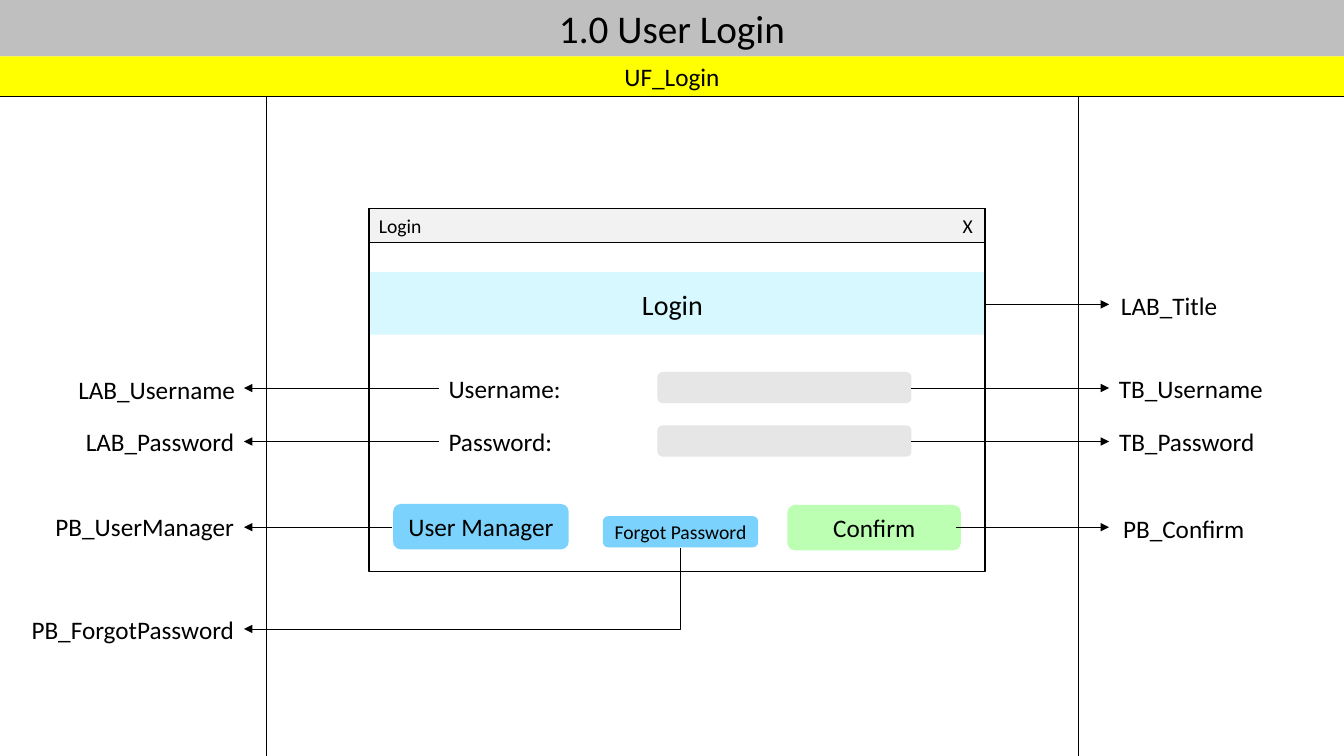
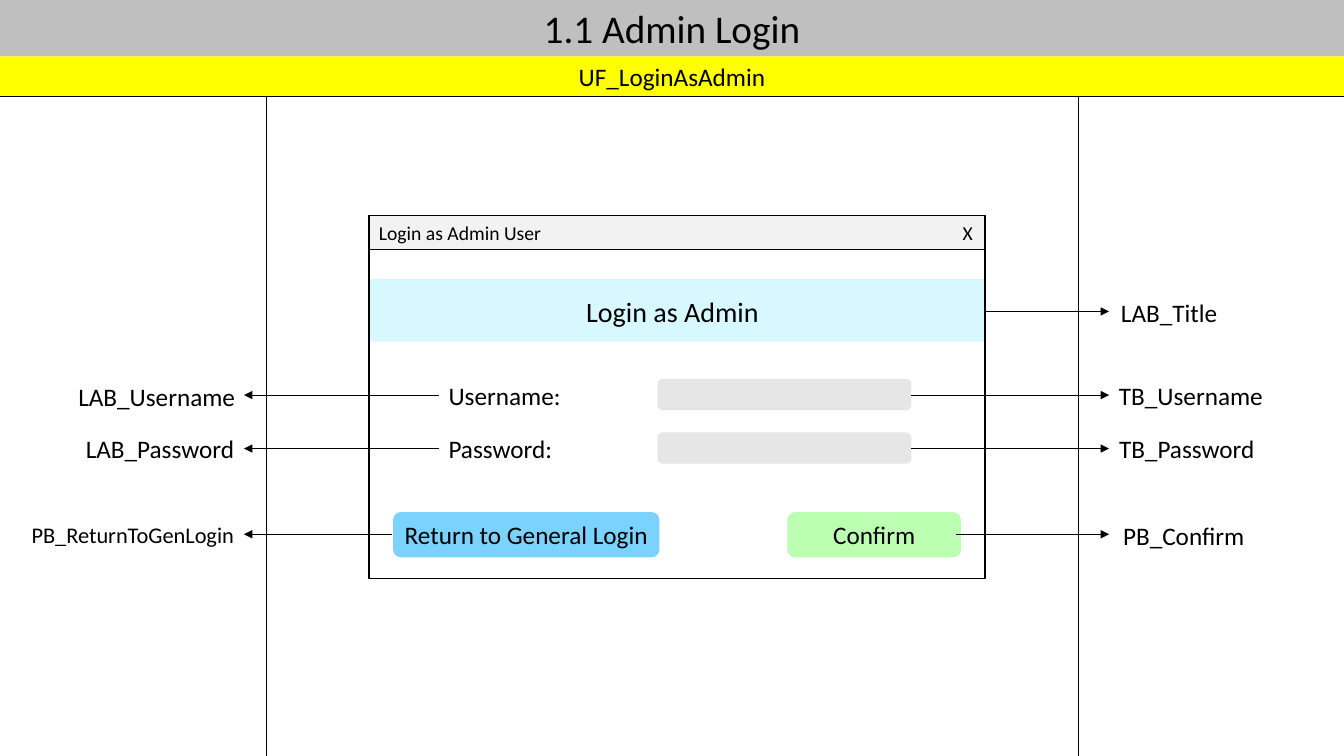
from dataclasses import dataclass

from lxml import etree
from pptx import Presentation
from pptx import util as u
from pptx.dml import color
from pptx.enum import shapes, text
from pptx.oxml import ns

SLIDE_WIDTH, SLIDE_HEIGHT = 13.33, 7.5
FONT = "Calibri"
BLACK, GREY, YELLOW = "000000", "BFBFBF", "FFFF00"
TITLE_BAR, HEADING_BAND, FIELD = "F2F2F2", "D7F8FF", "E7E6E6"
BLUE, GREEN = "7BD2FD", "BCFFB3"
HEADER_BOTTOM = 0.96
DIVIDERS = (10.7, 2.64)
WINDOW_LEFT, WINDOW_WIDTH, WINDOW_HEIGHT = 3.66, 6.11, 3.6
PROMPT_LEFT, FIELD_LEFT, FIELD_WIDTH = 4.35, 6.52, 2.52
LEFT_LABEL_EDGE = 2.42
LINE_HEIGHTS = {14: 0.34, 16: 0.37, 18: 0.4, 20: 0.44}
RECT = shapes.MSO_SHAPE.RECTANGLE
ROUNDED = shapes.MSO_SHAPE.ROUNDED_RECTANGLE
LEFT, CENTER, RIGHT = text.PP_ALIGN.LEFT, text.PP_ALIGN.CENTER, text.PP_ALIGN.RIGHT


@dataclass(frozen=True)
class Button:
    caption: str
    left: float
    top: float
    width: float
    height: float
    fill: str
    size: int = 18


@dataclass(frozen=True)
class Callout:
    name: str
    label_top: float
    arrow_y: float
    arrow_start: float
    label_width: float
    label_left: float = 11.0
    size: int = 18


@dataclass(frozen=True)
class LoginScreen:
    title: str
    form_name: str
    window_title: str
    heading: str
    window_top: float
    buttons: tuple[Button, ...]
    left_callout: Callout
    forgot_label: str = ""


PROMPTS = (("Username:", 1.58), ("Password:", 2.11))
CONFIRM = Button("Confirm", 7.81, 2.94, 1.72, 0.45, GREEN)
RIGHT_CALLOUTS = (
    Callout("LAB_Title", 0.76, 0.95, 9.77, 1.26, 11.02),
    Callout("TB_Username", 1.58, 1.78, 9.04, 1.94),
    Callout("TB_Password", 2.11, 2.31, 9.04, 1.62),
    Callout("PB_Confirm", 2.97, 3.16, 9.48, 1.62, 11.04),
)
LEFT_CALLOUTS = (
    Callout("LAB_Username", 1.59, 1.78, PROMPT_LEFT, 2.04, 0.39),
    Callout("LAB_Password", 2.11, 2.31, PROMPT_LEFT, 1.79, 0.63),
)

SCREENS = (
    LoginScreen(
        "1.0 User Login", "UF_Login", "Login", "Login", 2.07,
        (
            Button("User Manager", 3.9, 2.93, 1.74, 0.45, BLUE),
            CONFIRM,
            Button("Forgot Password", 5.98, 3.05, 1.54, 0.31, BLUE, 14),
        ),
        Callout("PB_UserManager", 2.95, 3.16, 3.89, 2.03, 0.39),
        "PB_ForgotPassword",
    ),
    LoginScreen(
        "1.1 Admin Login", "UF_LoginAsAdmin", "Login as Admin User", "Login as Admin", 2.14,
        (
            Button("Return to General Login", 3.9, 2.94, 2.64, 0.45, BLUE),
            CONFIRM,
        ),
        Callout("PB_ReturnToGenLogin", 2.98, 3.16, 3.89, 2.49, -0.07, 16),
    ),
)


def rgb(value: str) -> color.RGBColor:
    return color.RGBColor.from_string(value)


def write(frame, words: str, size: int, align) -> None:
    frame.word_wrap = True
    frame.auto_size = text.MSO_AUTO_SIZE.SHAPE_TO_FIT_TEXT
    paragraph = frame.paragraphs[0]
    paragraph.alignment = align
    run = paragraph.add_run()
    run.text = words
    run.font.name = FONT
    run.font.size = u.Pt(size)
    run.font.color.rgb = rgb(BLACK)


def add_label(slide, words: str, left: float, top: float, width: float,
              size: int = 18, align=LEFT) -> None:
    label = slide.shapes.add_textbox(
        u.Inches(left), u.Inches(top), u.Inches(width), u.Inches(LINE_HEIGHTS[size]))
    write(label.text_frame, words, size, align)


def add_block(slide, kind, left: float, top: float, width: float, height: float,
              fill: str = "", border: float = 0):
    block = slide.shapes.add_shape(
        kind, u.Inches(left), u.Inches(top), u.Inches(width), u.Inches(height))
    block.shadow.inherit = False
    if fill:
        block.fill.solid()
        block.fill.fore_color.rgb = rgb(fill)
    else:
        block.fill.background()
    if border:
        block.line.color.rgb = rgb(BLACK)
        block.line.width = u.Pt(border)
    else:
        block.line.fill.background()
    return block


def add_line(slide, x1: float, y1: float, x2: float, y2: float,
             arrow: bool = False, kind=shapes.MSO_CONNECTOR.STRAIGHT):
    line = slide.shapes.add_connector(
        kind, u.Inches(x1), u.Inches(y1), u.Inches(x2), u.Inches(y2))
    line.line.color.rgb = rgb(BLACK)
    line.line.width = u.Pt(0.5)
    properties = line._element.spPr
    if arrow:
        outline = properties.find(ns.qn("a:ln"))
        etree.SubElement(outline, ns.qn("a:tailEnd"), type="triangle")
    etree.SubElement(properties, ns.qn("a:effectLst"))
    return line


def add_corner_arrow(slide, x1: float, y1: float, x2: float, y2: float) -> None:
    center_x, center_y = (x1 + x2) / 2, (y1 + y2) / 2
    half_run, half_drop = (x1 - x2) / 2, (y2 - y1) / 2
    arrow = add_line(slide, center_x - half_drop, center_y - half_run,
                     center_x + half_drop, center_y + half_run,
                     True, shapes.MSO_CONNECTOR.ELBOW)
    properties = arrow._element.spPr
    properties.find(ns.qn("a:xfrm")).set("rot", "5400000")
    properties.find(ns.qn("a:prstGeom")).set("prst", "bentConnector2")


def add_button(slide, button: Button, window_top: float) -> None:
    top = window_top + button.top
    add_block(slide, ROUNDED, button.left, top, button.width, button.height, button.fill)
    caption_top = top + (button.height - LINE_HEIGHTS[button.size]) / 2
    add_label(slide, button.caption, button.left, caption_top, button.width,
              button.size, CENTER)


def add_callout(slide, callout: Callout, window_top: float, arrow_end: float, align) -> None:
    arrow_y = window_top + callout.arrow_y
    add_line(slide, callout.arrow_start, arrow_y, arrow_end, arrow_y, True)
    add_label(slide, callout.name, callout.label_left, window_top + callout.label_top,
              callout.label_width, callout.size, align)


def add_header(slide, screen: LoginScreen) -> None:
    title_band = add_block(slide, RECT, 0, -0.01, SLIDE_WIDTH, 0.57, GREY)
    write(title_band.text_frame, screen.title, 28, CENTER)
    for x in DIVIDERS:
        add_line(slide, x, 0.57, x, SLIDE_HEIGHT)
    form_band = add_block(slide, RECT, 0, 0.56, SLIDE_WIDTH, 0.4, YELLOW)
    write(form_band.text_frame, screen.form_name, 18, CENTER)
    add_line(slide, 0, HEADER_BOTTOM, SLIDE_WIDTH, HEADER_BOTTOM)


def add_window(slide, screen: LoginScreen) -> None:
    top = screen.window_top
    title_bar = add_block(slide, RECT, WINDOW_LEFT, top, WINDOW_WIDTH, 0.34, TITLE_BAR, 0.75)
    write(title_bar.text_frame, screen.window_title, 14, LEFT)
    add_block(slide, RECT, WINDOW_LEFT, top + 0.63, WINDOW_WIDTH, 0.62, HEADING_BAND)
    add_label(slide, screen.heading, 4.07, top + 0.73, 5.2, 20, CENTER)
    add_block(slide, RECT, WINDOW_LEFT, top, WINDOW_WIDTH, WINDOW_HEIGHT, border=1)
    add_label(slide, "X", 9.45, top, 0.43, 14)
    for prompt, offset in PROMPTS:
        add_label(slide, prompt, PROMPT_LEFT, top + offset, 2.18)
        add_block(slide, ROUNDED, FIELD_LEFT, top + offset + 0.04, FIELD_WIDTH, 0.31, FIELD)
    for button in screen.buttons:
        add_button(slide, button, top)


def add_callouts(slide, screen: LoginScreen) -> None:
    top = screen.window_top
    for callout in RIGHT_CALLOUTS:
        add_callout(slide, callout, top, 11, LEFT)
    for callout in (*LEFT_CALLOUTS, screen.left_callout):
        add_callout(slide, callout, top, LEFT_LABEL_EDGE, RIGHT)
    if screen.forgot_label:
        add_corner_arrow(slide, 6.75, 5.44, LEFT_LABEL_EDGE, 6.24)
        add_label(slide, screen.forgot_label, 0.14, 6.05, 2.28, align=RIGHT)


def main() -> None:
    deck = Presentation()
    deck.slide_width = u.Inches(SLIDE_WIDTH)
    deck.slide_height = u.Inches(SLIDE_HEIGHT)
    for screen in SCREENS:
        slide = deck.slides.add_slide(deck.slide_layouts[6])
        add_header(slide, screen)
        add_window(slide, screen)
        add_callouts(slide, screen)
    deck.save("out.pptx")


main()
